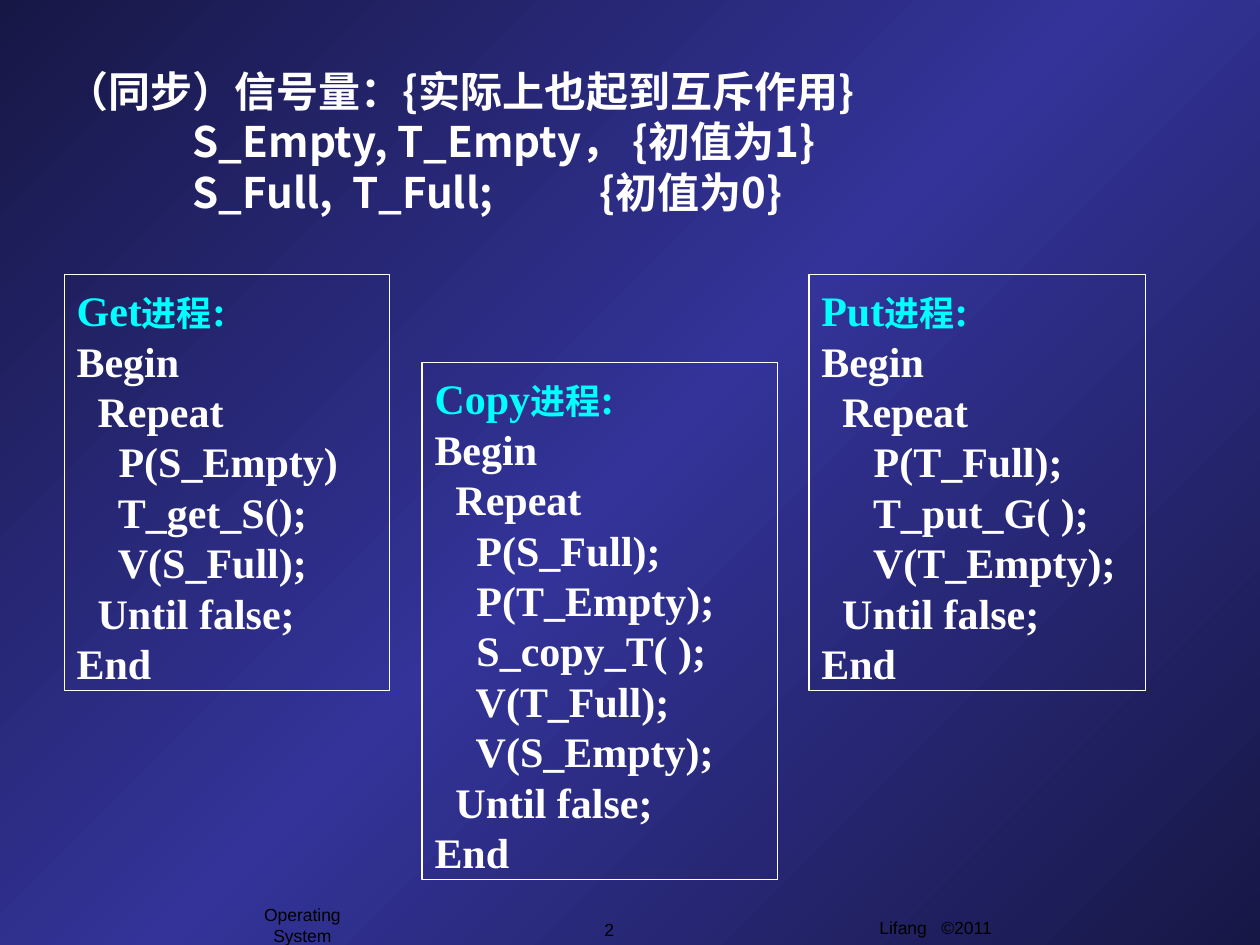
from lxml.etree import SubElement
from copy import deepcopy
from pptx import Presentation
from pptx.dml.color import RGBColor
from pptx.enum.shapes import MSO_SHAPE as Shape
from pptx.enum.text import MSO_ANCHOR as Anchor, MSO_AUTO_SIZE as AutoSize, PP_ALIGN as Align
from pptx.oxml.ns import qn
from pptx.util import Inches, Pt

NAVY = RGBColor(0x17, 0x17, 0x46)
BLUE = RGBColor(0x33, 0x33, 0x99)
WHITE = RGBColor(0xFF, 0xFF, 0xFF)
CYAN = RGBColor(0x00, 0xFF, 0xFF)
BLACK = RGBColor(0x00, 0x00, 0x00)
HAN_FONT = "Noto Sans CJK SC"
CODE_FONT = "Times New Roman"

SEMAPHORES = [
    "（同步）信号量：{实际上也起到互斥作用}",
    "\tS_Empty, T_Empty， {初值为1}",
    "\tS_Full,  T_Full;\t{初值为0}",
]
PROCESSES = [
    ("Get", (0.51, 2.18, 2.58, 3.3), 4,
     ["P(S_Empty)", "T_get_S();", "V(S_Full);"]),
    ("Copy", (3.35, 2.88, 2.82, 4.1), 4,
     ["P(S_Full);", "P(T_Empty);", "S_copy_T( );", "V(T_Full);", "V(S_Empty);"]),
    ("Put", (6.42, 2.18, 2.67, 3.3), 5,
     ["P(T_Full);", "T_put_G( );", "V(T_Empty);"]),
]
FOOTERS = [
    ("Lifang   ©2011", (5.84, 7.23, 3.17, 0.27)),
    ("2", (4.42, 7.24, 0.83, 0.27)),
    ("Operating System", (1.75, 7.21, 1.3, 0.27)),
]


def paint_background(page):
    """Fill the page with a diagonal navy-blue-navy gradient."""
    fill = page.background.fill
    fill.gradient()
    fill.gradient_angle = 135
    stops = page.element.find(".//" + qn("a:gsLst"))
    stops.insert(1, deepcopy(stops[0]))
    for stop, color, position in zip(fill.gradient_stops, (NAVY, BLUE, NAVY), (0, 0.5, 1)):
        stop.color.rgb = color
        stop.position = position


def add_tab_stops(para, *positions):
    """Give a paragraph left tab stops at the given inches."""
    tabs = SubElement(para._p.get_or_add_pPr(), qn("a:tabLst"))
    for position in positions:
        SubElement(tabs, qn("a:tab"), pos=str(Inches(position)), algn="l")


def style_line(para, font_name, color):
    """Format a bold 24 point line with a Chinese companion font."""
    para.alignment = Align.LEFT
    para.line_spacing = Pt(28.8)
    font = para.font
    font.name, font.size, font.bold = font_name, Pt(24), True
    font.color.rgb = color
    defaults = para._p.get_or_add_pPr().find(qn("a:defRPr"))
    SubElement(defaults, qn("a:ea"), typeface=HAN_FONT)


def prepare_frame(box):
    """Return the wrapped, top-anchored text frame of a box."""
    frame = box.text_frame
    frame.word_wrap = True
    frame.auto_size = AutoSize.NONE
    frame.vertical_anchor = Anchor.TOP
    frame.margin_left = frame.margin_right = Inches(0.1)
    frame.margin_top, frame.margin_bottom = Inches(0.08), Inches(0.02)
    return frame


def fill_title(page):
    """Write the semaphore declarations into the title placeholder."""
    title = page.shapes.title
    title.left, title.top = Inches(0.43), Inches(0.44)
    title.width, title.height = Inches(7.83), Inches(1.3)
    frame = prepare_frame(title)
    frame.text = "\n".join(SEMAPHORES)
    for para in frame.paragraphs:
        add_tab_stops(para, 1, 4.23)
        style_line(para, HAN_FONT, WHITE)


def add_process(page, name, place, indent, steps):
    """Draw an outlined box with the code of one process."""
    box = page.shapes.add_shape(Shape.RECTANGLE, *map(Inches, place))
    box.shadow.inherit = False
    box.fill.background()
    box.line.color.rgb = WHITE
    box.line.width = Pt(0.75)
    frame = prepare_frame(box)
    heading = frame.paragraphs[0]
    style_line(heading, CODE_FONT, CYAN)
    for text in (name, "进程", ":"):
        span = heading.add_run()
        span.text = text
        if text == "进程":
            span.font.size = Pt(20)
            span.font.name = HAN_FONT
    body = [" " * indent + step for step in steps]
    for line in ["Begin", "  Repeat", *body, "  Until false;", "End"]:
        para = frame.add_paragraph()
        para.text = line
        style_line(para, CODE_FONT, WHITE)


def add_footer(page, text, place):
    """Add a small centred footer text."""
    frame = page.shapes.add_textbox(*map(Inches, place)).text_frame
    frame.word_wrap = False
    frame.vertical_anchor = Anchor.MIDDLE
    para = frame.paragraphs[0]
    para.text = text
    para.alignment = Align.CENTER
    para.font.name, para.font.size = "Arial", Pt(10)
    para.font.color.rgb = BLACK


def main():
    """Build the slide and save the deck."""
    deck = Presentation()
    deck.slide_width, deck.slide_height = Inches(10), Inches(7.5)
    page = deck.slides.add_slide(deck.slide_layouts[5])
    paint_background(page)
    for text, place in FOOTERS:
        add_footer(page, text, place)
    fill_title(page)
    for process in PROCESSES:
        add_process(page, *process)
    deck.save("out.pptx")


if __name__ == "__main__":
    main()
